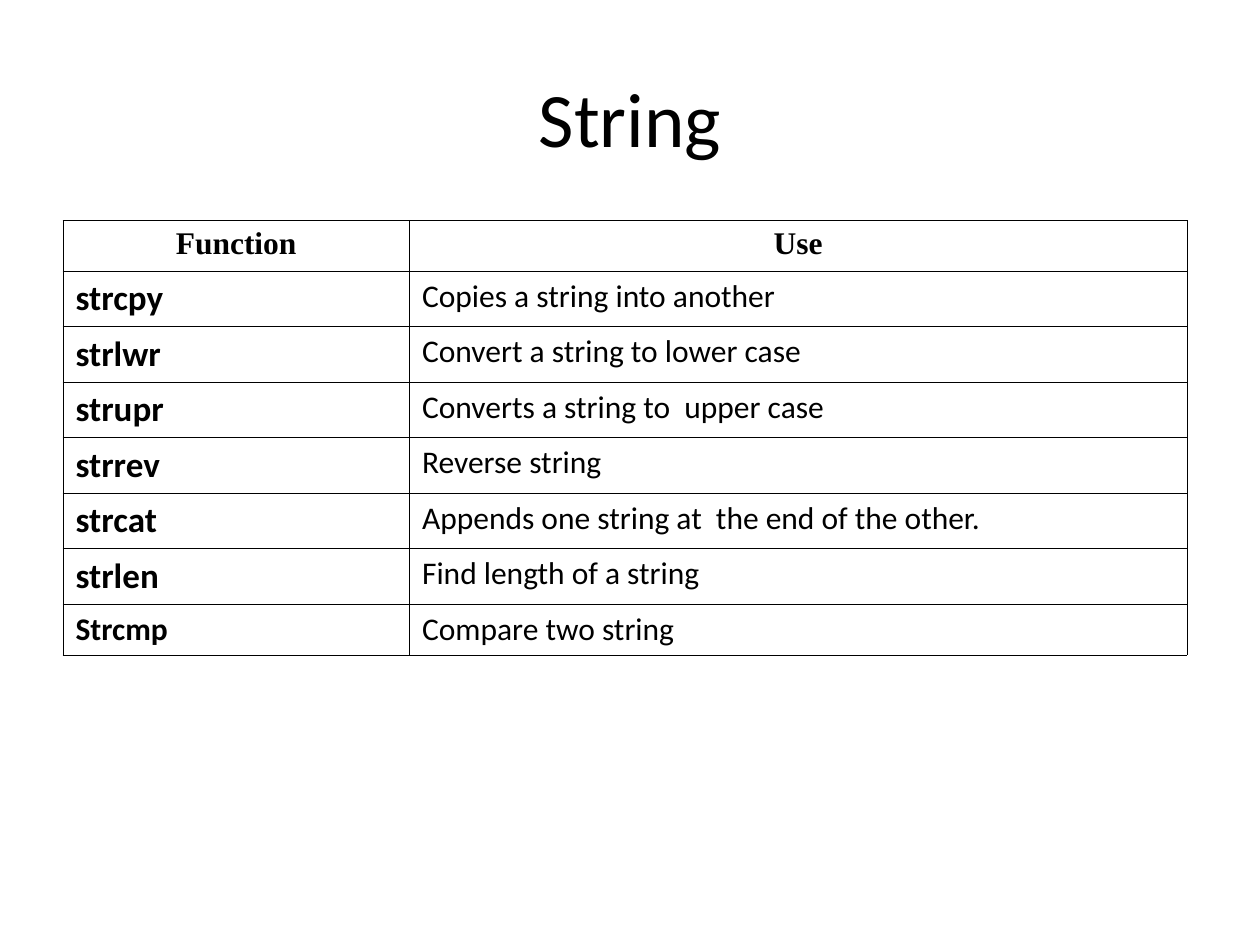
from lxml.etree import SubElement
from pptx import Presentation
from pptx.dml.color import RGBColor
from pptx.enum.text import MSO_ANCHOR, PP_ALIGN
from pptx.oxml.ns import qn
from pptx.util import Inches, Pt

INK = "000000"
HEADINGS = ("Function", "Use")
FUNCTIONS = [
    ("strcpy", "Copies a string into another"),
    ("strlwr", "Convert a string to lower case"),
    ("strupr", "Converts a string to  upper case"),
    ("strrev", "Reverse string"),
    ("strcat", "Appends one string at  the end of the other."),
    ("strlen", "Find length of a string"),
    ("Strcmp", "Compare two string"),
]


def color(value):
    return RGBColor.from_string(value)


def write(frame, text, size, font="Calibri", bold=False, align=PP_ALIGN.LEFT):
    frame.text = text
    paragraph = frame.paragraphs[0]
    paragraph.alignment = align
    for run in paragraph.runs:
        run.font.size = Pt(size)
        run.font.name = font
        run.font.bold = bold
        run.font.color.rgb = color(INK)


def add_borders(cell):
    properties = cell._tc.get_or_add_tcPr()
    for side in ("a:lnL", "a:lnR", "a:lnT", "a:lnB"):
        border = SubElement(properties, qn(side), w=str(Pt(0.45)))
        fill = SubElement(border, qn("a:solidFill"))
        SubElement(fill, qn("a:srgbClr"), val=INK)


def place_title(title, left, top, width, height):
    title.left, title.top = Inches(left), Inches(top)
    title.width, title.height = Inches(width), Inches(height)
    title.text_frame.vertical_anchor = MSO_ANCHOR.MIDDLE
    write(title.text_frame, "String", 44, align=PP_ALIGN.CENTER)


def place_functions(slide, left, top, width, height):
    rows = [HEADINGS, *FUNCTIONS]
    table = slide.shapes.add_table(
        len(rows), len(HEADINGS),
        Inches(left), Inches(top), Inches(width), Inches(height),
    ).table
    table.first_row = table.horz_banding = False
    name_width = 2.75
    table.columns[0].width = Inches(name_width)
    table.columns[1].width = Inches(width - name_width)

    edge_height = 0.4
    inner_height = (height - 2 * edge_height) / (len(rows) - 2)
    last = len(rows) - 1
    for r, texts in enumerate(rows):
        on_edge = r in (0, last)
        table.rows[r].height = Inches(edge_height if on_edge else inner_height)
        for c, text in enumerate(texts):
            cell = table.cell(r, c)
            if r == 0:
                write(cell.text_frame, text, 18, "Times New Roman", True, PP_ALIGN.CENTER)
            else:
                size = 20 if c == 0 and not on_edge else 18
                write(cell.text_frame, text, size, bold=c == 0)
            add_borders(cell)
            cell.fill.background()


def main():
    deck = Presentation()
    deck.slide_width, deck.slide_height = Inches(10), Inches(7.5)
    slide = deck.slides.add_slide(deck.slide_layouts[5])
    place_title(slide.shapes.title, 0.5, 0.3, 9, 1.25)
    place_functions(slide, 0.5, 1.75, 8.92, 3.44)
    deck.save("out.pptx")


if __name__ == "__main__":
    main()
